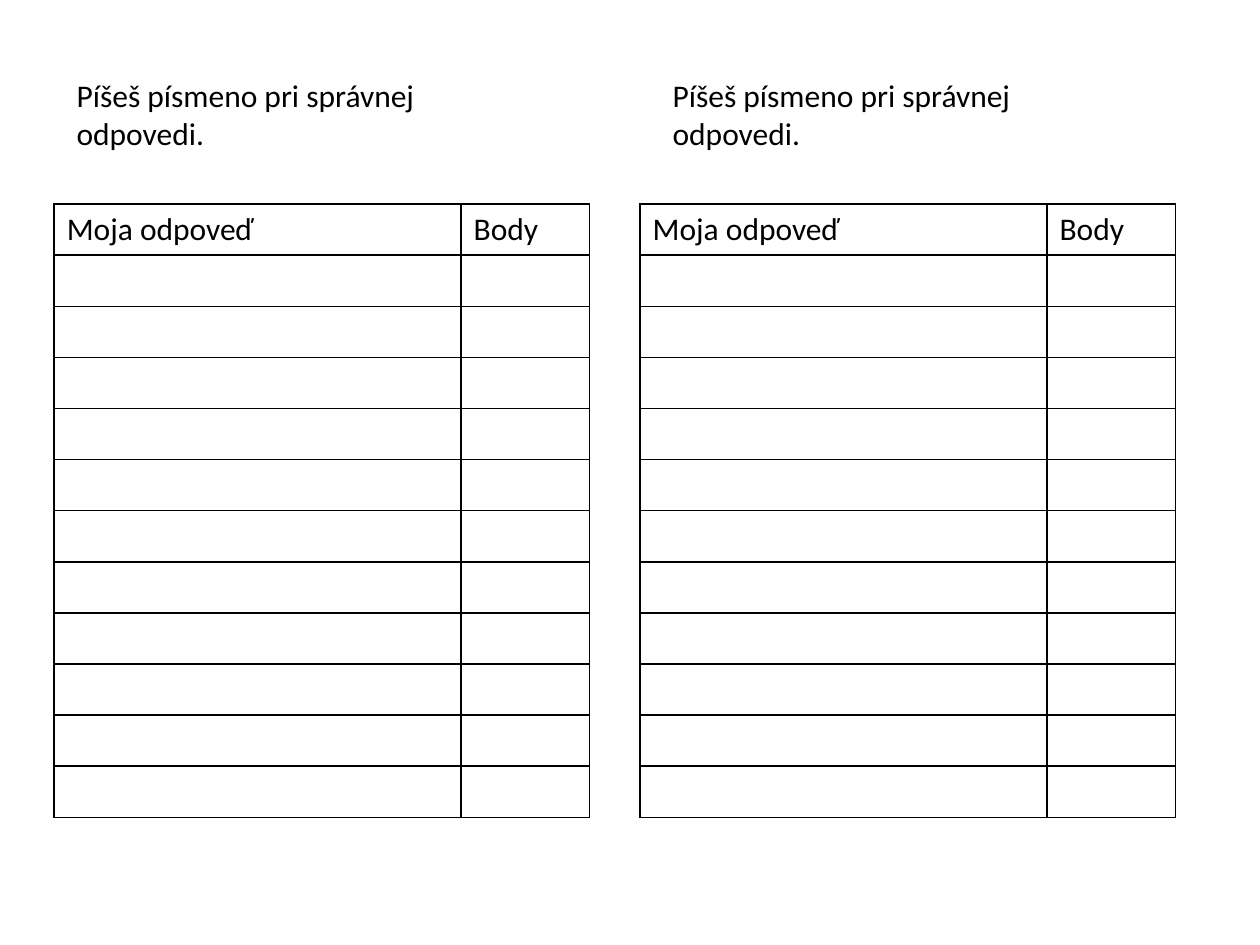
from lxml import etree
from pptx import Presentation
from pptx.dml.color import RGBColor
from pptx.enum import text
from pptx.oxml import ns
from pptx.util import Inches, Pt

BLACK = "000000"
ROWS = 12
COLUMN_WIDTHS = (3.23, 1.02)
TABLE_HEIGHT = 4.87


def color(value):
    return RGBColor.from_string(value)


def style(font):
    font.name = "Calibri"
    font.size = Pt(18)
    font.bold = False
    font.color.rgb = color(BLACK)


def add_instruction(s, left):
    sp = s.shapes.add_textbox(Inches(left), Inches(0.44), Inches(3.9), Inches(0.93))
    tf = sp.text_frame
    tf.word_wrap = True
    tf.vertical_anchor = text.MSO_ANCHOR.MIDDLE
    tf.text = "Píšeš písmeno pri správnej odpovedi."
    style(tf.paragraphs[0].runs[0].font)


def add_borders(cell):
    tc_pr = cell._tc.get_or_add_tcPr()
    for side in ("lnL", "lnR", "lnT", "lnB"):
        ln = etree.SubElement(tc_pr, ns.qn(f"a:{side}"), w=str(Pt(1)))
        fill = etree.SubElement(ln, ns.qn("a:solidFill"))
        etree.SubElement(fill, ns.qn("a:srgbClr"), val=BLACK)


def add_answer_table(s, left):
    table = s.shapes.add_table(
        ROWS, len(COLUMN_WIDTHS), Inches(left), Inches(1.62),
        Inches(sum(COLUMN_WIDTHS)), Inches(TABLE_HEIGHT)).table
    table.first_row = False
    table.horz_banding = False
    for column, width in zip(table.columns, COLUMN_WIDTHS):
        column.width = Inches(width)
    for row in table.rows:
        row.height = Inches(TABLE_HEIGHT / ROWS)
    for cell, heading in zip(table.rows[0].cells, ("Moja odpoveď", "Body")):
        cell.text = heading
        style(cell.text_frame.paragraphs[0].runs[0].font)
    for cell in table.iter_cells():
        add_borders(cell)
        cell.fill.background()


def main():
    prs = Presentation()
    prs.slide_width = Inches(10)
    prs.slide_height = Inches(7.5)
    s = prs.slides.add_slide(prs.slide_layouts[6])
    for instruction_left, table_left in ((0.51, 0.43), (5.24, 5.08)):
        add_instruction(s, instruction_left)
        add_answer_table(s, table_left)
    prs.save("out.pptx")


if __name__ == "__main__":
    main()
